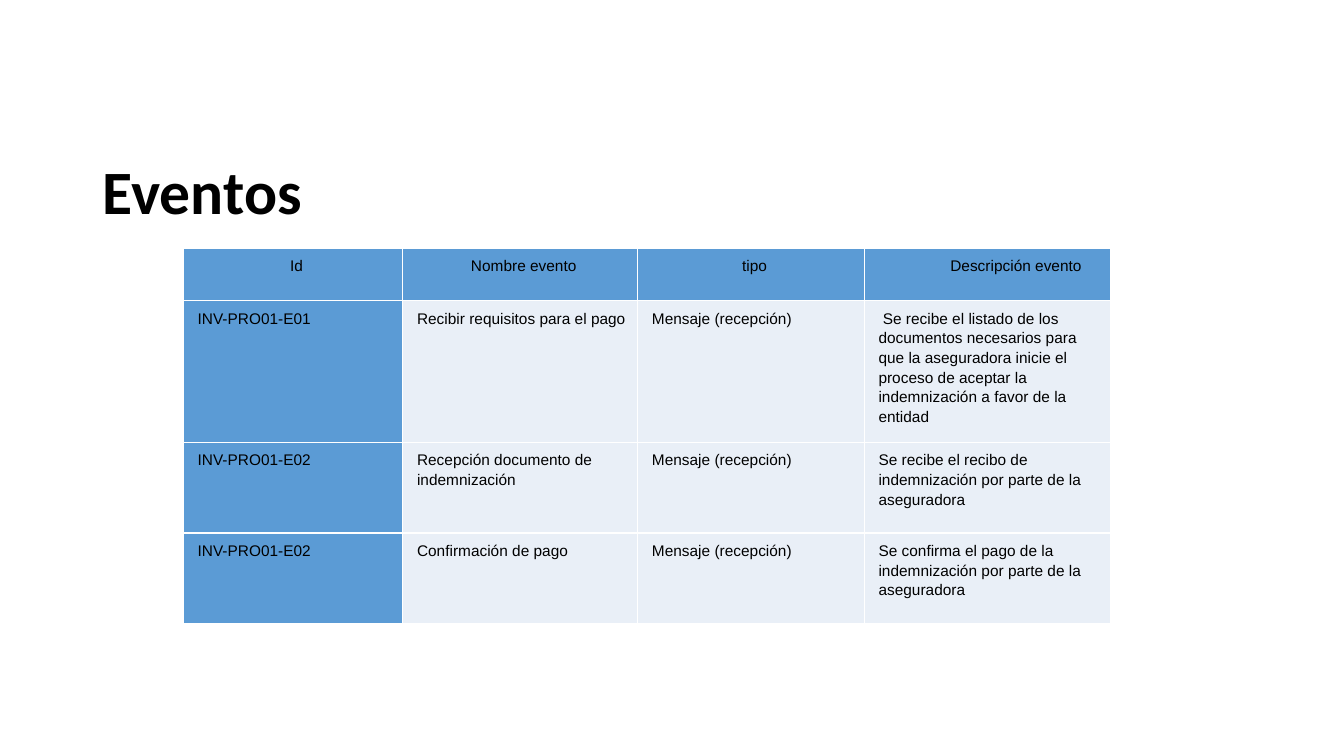
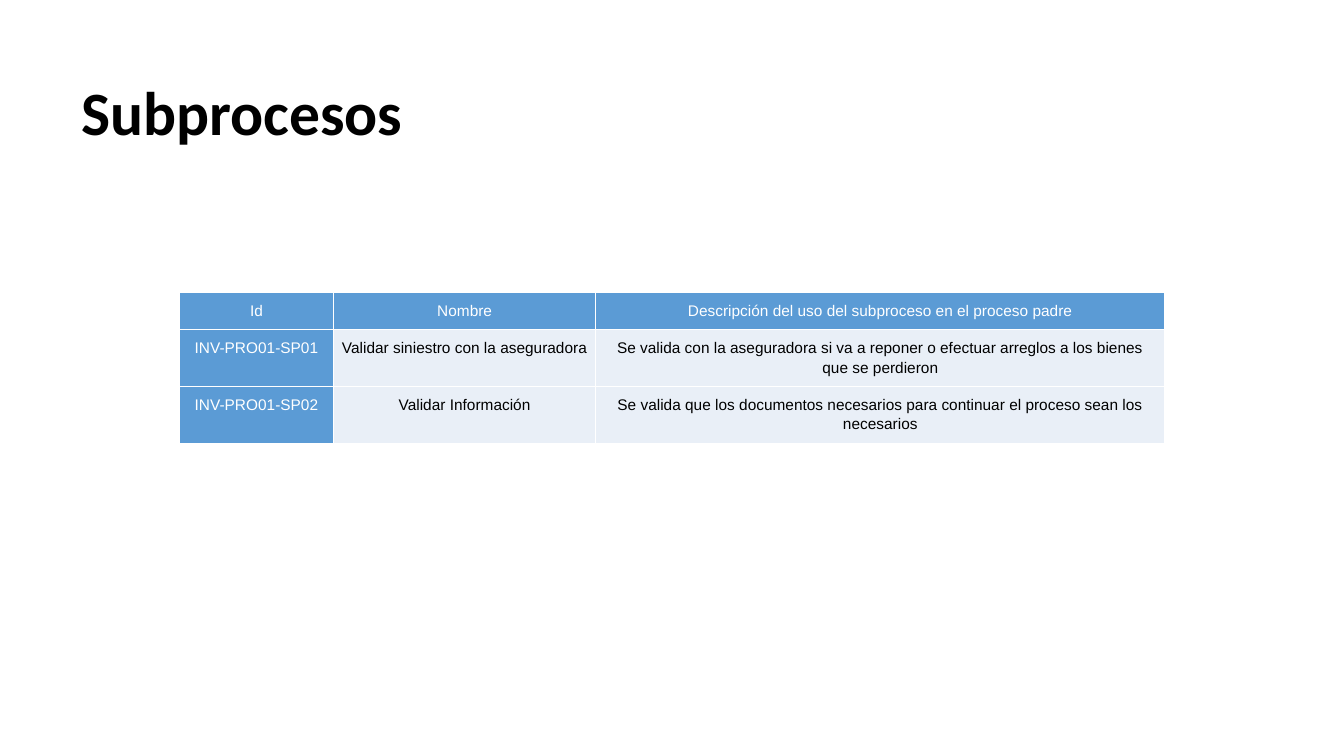
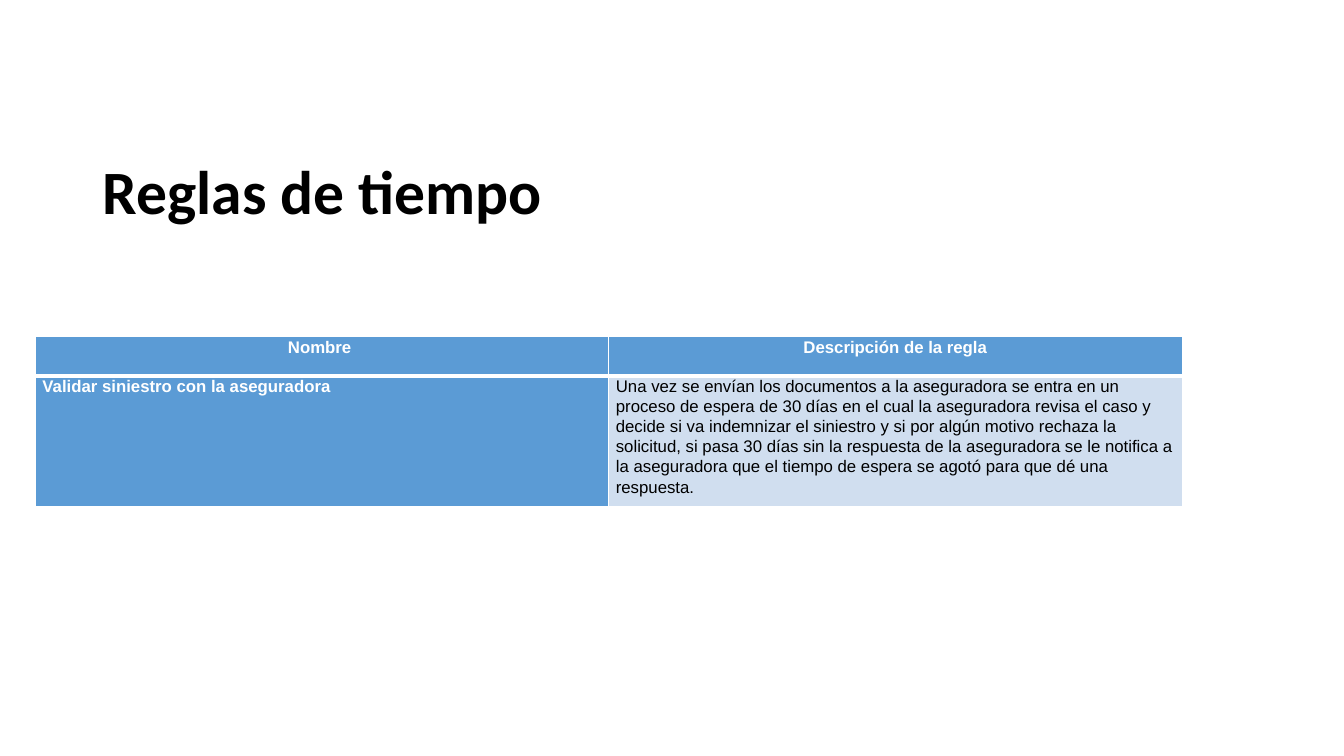
"""Build three slides, each with a title and a table, on events, subprocesses and time rules."""
import pptx
import pptx.dml.color
import pptx.enum.text
import pptx.oxml
import pptx.oxml.ns
import pptx.util

Cm, Pt = pptx.util.Cm, pptx.util.Pt
ALIGN = pptx.enum.text.PP_ALIGN
COLORS = {"black": "000000", "white": "FFFFFF", "blue": "5B9BD5", "pale": "E9EFF7", "light": "D0DEEF"}
TITLE_SIZE = (29.21, 3.68)
INSET = 0.18

SLIDES = [
    {
        "title": "Eventos", "title_at": (2.34, 3.07), "table_at": (4.62, 6.25),
        "cols": [5.53, 5.92, 5.71, 6.2], "rows": [1.32, 3.33, 2.29, 2.29],
        "head_color": "black", "body_fill": "pale", "body_align": ALIGN.LEFT,
        "size": 11, "bold": False, "spacing": 1.15, "inset_y": INSET,
        "margin": INSET, "last_head_indent": 1.27, "head_rule": 1,
        "cells": [
            ["Id", "Nombre evento", "tipo", "Descripción evento"],
            ["INV-PRO01-E01", "Recibir requisitos para el pago", "Mensaje (recepción)",
             " Se recibe el listado de los documentos necesarios para que la aseguradora "
             "inicie el proceso de aceptar la indemnización a favor de la entidad"],
            ["INV-PRO01-E02", "Recepción documento de indemnización", "Mensaje (recepción)",
             "Se recibe el recibo de indemnización por parte de la aseguradora"],
            ["INV-PRO01-E02", "Confirmación de pago", "Mensaje (recepción)",
             "Se confirma el pago de la indemnización por parte de la aseguradora"],
        ],
    },
    {
        "title": "Subprocesos", "title_at": (1.8, 1.07), "table_at": (4.52, 7.37),
        "cols": [3.89, 6.6, 14.35], "rows": [0.94, 1.33, 1.33],
        "head_color": "white", "body_fill": "pale", "body_align": ALIGN.CENTER,
        "size": 11, "bold": False, "spacing": 1.15, "inset_y": INSET,
        "margin": 0, "last_head_indent": 0, "head_rule": 1,
        "cells": [
            ["Id", "Nombre", "Descripción del uso del subproceso en el proceso padre"],
            ["INV-PRO01-SP01", "Validar siniestro con la aseguradora",
             "Se valida con la aseguradora si va a reponer o efectuar arreglos a los bienes que se perdieron"],
            ["INV-PRO01-SP02", "Validar Información",
             "Se valida que los documentos necesarios para continuar el proceso sean los necesarios"],
        ],
    },
    {
        "title": "Reglas de tiempo", "title_at": (2.34, 3.07), "table_at": (0.89, 8.48),
        "cols": [14.45, 14.45], "rows": [0.99, 3.3],
        "head_color": "white", "body_fill": "light", "body_align": ALIGN.LEFT,
        "size": 12, "bold": True, "spacing": 1.07, "inset_y": 0,
        "margin": 0, "last_head_indent": 0, "head_rule": 3,
        "cells": [
            ["Nombre ", "Descripción de la regla"],
            ["Validar siniestro con la aseguradora",
             "Una vez se envían los documentos a la aseguradora se entra en un proceso de espera de "
             "30 días en el cual la aseguradora revisa el caso y decide si va indemnizar el siniestro "
             "y si por algún motivo rechaza la solicitud, si pasa 30 días sin la respuesta de la "
             "aseguradora se le notifica a la aseguradora que el tiempo de espera se agotó para que "
             "dé una respuesta."],
        ],
    },
]


def rgb(name):
    return pptx.dml.color.RGBColor.from_string(COLORS[name])


def style(p, font, size, color, bold, spacing):
    p.font.name, p.font.size, p.font.bold = font, Pt(size), bold
    p.font.color.rgb = rgb(color)
    p.line_spacing = spacing


def add_title(s, text, at):
    tf = s.shapes.add_textbox(*map(Cm, at + TITLE_SIZE)).text_frame
    tf.word_wrap = True
    tf.vertical_anchor = pptx.enum.text.MSO_ANCHOR.MIDDLE
    tf.text = text
    style(tf.paragraphs[0], "Calibri", 44, "black", True, 0.9)


def add_borders(cell, top, bottom):
    tc_pr = cell._tc.get_or_add_tcPr()
    for side, width in (("L", 1), ("R", 1), ("T", top), ("B", bottom)):
        tc_pr.append(pptx.oxml.parse_xml(
            f'<a:ln{side} {pptx.oxml.ns.nsdecls("a")} w="{Pt(width)}"><a:solidFill>'
            f'<a:srgbClr val="{COLORS["white"]}"/></a:solidFill></a:ln{side}>'))


def fill_cell(cell, text, row, col, d):
    head = row == 0 or col == 0
    rule = d["head_rule"]
    add_borders(cell, rule if row == 1 else 1, rule if row == 0 else 1)
    cell.fill.solid()
    cell.fill.fore_color.rgb = rgb("blue" if head else d["body_fill"])
    cell.margin_left = cell.margin_right = Cm(INSET)
    cell.margin_top = cell.margin_bottom = Cm(d["inset_y"])
    cell.text = text
    p = cell.text_frame.paragraphs[0]
    style(p, "Arial", d["size"], d["head_color"] if head else "black", head and d["bold"], d["spacing"])
    p.alignment = ALIGN.CENTER if row == 0 else d["body_align"]
    last_head = row == 0 and col == len(d["cols"]) - 1
    p_pr = p._p.get_or_add_pPr()
    p_pr.set("marL", str(Cm(d["margin"])))
    p_pr.set("indent", str(Cm(d["last_head_indent"] if last_head else 0)))


def add_table(s, d):
    cols, rows = d["cols"], d["rows"]
    box = map(Cm, (*d["table_at"], sum(cols), sum(rows)))
    table = s.shapes.add_table(len(rows), len(cols), *box).table
    table.horz_banding = False
    for column, width in zip(table.columns, cols):
        column.width = Cm(width)
    for row, height in enumerate(rows):
        table.rows[row].height = Cm(height)
        for col, text in enumerate(d["cells"][row]):
            fill_cell(table.cell(row, col), text, row, col, d)


prs = pptx.Presentation()
prs.slide_width, prs.slide_height = Cm(33.87), Cm(19.05)
for d in SLIDES:
    s = prs.slides.add_slide(prs.slide_layouts[6])
    add_title(s, d["title"], d["title_at"])
    add_table(s, d)
prs.save("out.pptx")
